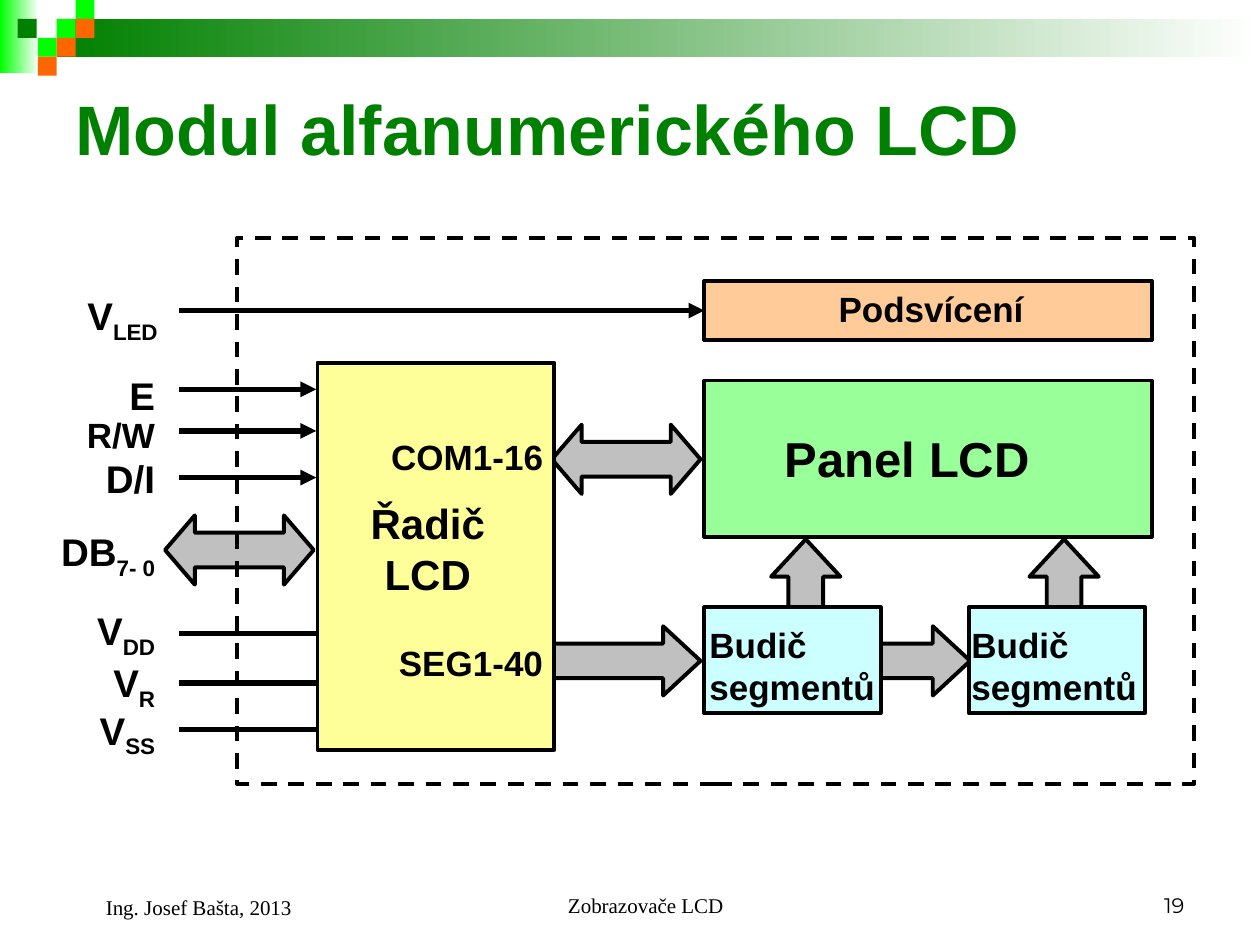
from lxml.etree import SubElement
from pptx import Presentation
from pptx.dml.color import RGBColor
from pptx.enum.dml import MSO_LINE
from pptx.enum.shapes import MSO_CONNECTOR, MSO_SHAPE as SHAPE
from pptx.enum.text import MSO_ANCHOR as ANCHOR, PP_ALIGN as ALIGN
from pptx.oxml.ns import qn
from pptx.util import Inches, Pt

# Content: header decoration
BANDS = [((0, 0, 0.31, 0.58), "00FF00"), ((0.45, 0.15, 9.55, 0.3), "008000")]
TILE = 0.15
TILES = [  # left, top, colour
    (0.45, 0.15, "00FF00"), (0.6, 0, "00FF00"), (0.6, 0.15, "FF6600"),
    (0.3, 0.3, "00FF00"), (0.14, 0.15, "008000"), (0.45, 0.3, "FF6600"),
    (0.3, 0.45, "FF6600"),
]

# Content: block diagram
ARROW_LONG, ARROW_WIDE = 1.18, 0.55
DOUBLE, SINGLE = (0.5, 0.43), (0.5, 0.54)
ARROWS = [  # preset, adjustments, left, top
    (SHAPE.UP_ARROW, SINGLE, 6.12, 4.28),
    (SHAPE.UP_ARROW, SINGLE, 8.17, 4.28),
    (SHAPE.LEFT_RIGHT_ARROW, DOUBLE, 4.38, 3.37),
    (SHAPE.RIGHT_ARROW, SINGLE, 4.38, 4.97),
    (SHAPE.RIGHT_ARROW, SINGLE, 6.52, 4.97),
    (SHAPE.LEFT_RIGHT_ARROW, DOUBLE, 1.31, 4.09),
]
BLOCKS = {
    "controller": ((2.52, 2.88, 1.88, 3.07), "FFFF99"),
    "driver 1": ((5.59, 4.82, 1.4, 0.84), "CCFFFF"),
    "driver 2": ((7.69, 4.82, 1.4, 0.84), "CCFFFF"),
    "panel": ((5.59, 3.02, 3.55, 1.24), "99FF99"),
    "backlight": ((5.59, 2.23, 3.55, 0.47), "FFCC99"),
}
FRAME = (1.88, 1.89, 7.6, 4.33)
BLOCK_TEXTS = [  # text, box, size, alignment
    ("Budič segmentů", (5.63, 4.95, 1.37, 0.67), 20, ALIGN.LEFT),
    ("Budič segmentů", (7.71, 4.95, 1.37, 0.67), 20, ALIGN.LEFT),
    ("Panel LCD", (6.23, 3.4, 2.03, 0.47), 28, ALIGN.LEFT),
    ("COM1-16", (2.89, 3.46, 1.42, 0.33), 20, ALIGN.RIGHT),
    ("SEG1-40", (2.89, 5.09, 1.42, 0.33), 20, ALIGN.RIGHT),
    ("Řadič LCD", (2.63, 3.95, 1.53, 0.8), 24, ALIGN.CENTER),
    ("Podsvícení", (6.04, 2.28, 2.7, 0.33), 20, ALIGN.CENTER),
]
SIGNALS = [  # name, subscript, size, top, right edge
    ("V", "LED", 22, 2.32, 1.25), ("E", "", 22, 2.95, 1.23),
    ("R/W", "", 20, 3.28, 1.23), ("D/I", "", 22, 3.61, 1.23),
    ("DB", "7- 0", 22, 4.19, 1.23), ("V", "DD", 22, 4.82, 1.23),
    ("V", "R", 22, 5.23, 1.23), ("V", "SS", 22, 5.61, 1.23),
]
SIGNAL_LEFT, WIRE_LEFT, WIRE_RIGHT = 0.25, 1.42, 2.51
INPUTS = [3.09, 3.42, 3.79]
SUPPLIES = [5.03, 5.42, 5.79]

# Content: title and footer
SERIF = "Times New Roman"
FOOTER = [  # text, box, left inset, alignment, font
    ("Zobrazovače LCD", (3.42, 6.83, 3.17, 0.5), 0.34, ALIGN.CENTER, SERIF),
    ("19", (7.17, 6.83, 2.33, 0.5), 0.1, ALIGN.RIGHT, "Montserrat"),
    ("Ing. Josef Bašta, 2013", (0.5, 6.83, 2.33, 0.52), 0.34, ALIGN.LEFT, SERIF),
]

prs = Presentation()
prs.slide_width, prs.slide_height = Inches(10), Inches(7.5)
shapes = prs.slides.add_slide(prs.slide_layouts[6]).shapes


def rgb(color):
    return RGBColor.from_string(color)


def add_block(preset, box, fill=None, line=2.25):
    s = shapes.add_shape(preset, *map(Inches, box))
    s.shadow.inherit = False
    if fill:
        s.fill.solid()
        s.fill.fore_color.rgb = rgb(fill)
    else:
        s.fill.background()
    if line:
        s.line.color.rgb = rgb("000000")
        s.line.width = Pt(line)
    else:
        s.line.fill.background()
    return s


def add_text(runs, box, size, align, font="Arial", color="000000", bold=True,
             anchor=ANCHOR.TOP, insets=(0, 0, 0, 0)):
    """Runs are (text, is_subscript) pairs."""
    tf = shapes.add_textbox(*map(Inches, box)).text_frame
    left, top, right, bottom = map(Inches, insets)
    frame_format = {"word_wrap": True, "vertical_anchor": anchor,
                    "margin_left": left, "margin_top": top,
                    "margin_right": right, "margin_bottom": bottom}
    for name, value in frame_format.items():
        setattr(tf, name, value)
    p = tf.paragraphs[0]
    p.alignment = align
    for text, subscript in runs:
        r = p.add_run()
        r.text = text
        for name, value in {"name": font, "size": Pt(size), "bold": bold}.items():
            setattr(r.font, name, value)
        r.font.color.rgb = rgb(color)
        if subscript:
            r.font._element.set("baseline", "-25000")


def add_wire(y, right=WIRE_RIGHT, arrow=False):
    c = shapes.add_connector(MSO_CONNECTOR.STRAIGHT, Inches(WIRE_LEFT), Inches(y),
                             Inches(right), Inches(y))
    c.line.color.rgb = rgb("000000")
    c.line.width = Pt(3)
    if arrow:
        SubElement(c.line._get_or_add_ln(), qn("a:tailEnd"), type="triangle")
    SubElement(c._element.spPr, qn("a:effectLst"))
    return c


# Header decoration
for box, color in BANDS:
    fill = add_block(SHAPE.RECTANGLE, box, line=None).fill
    fill.gradient()
    fill.gradient_angle = 0
    for stop, (position, shade) in zip(fill.gradient_stops,
                                       [(0, color), (1, "FFFFFF")]):
        stop.position = position
        stop.color.rgb = rgb(shade)
for left, top, color in TILES:
    add_block(SHAPE.RECTANGLE, (left, top, TILE, TILE), color, line=None)

# Bus arrows, with the blocks over their ends
for preset, adjustments, left, top in ARROWS:
    size = (ARROW_LONG, ARROW_WIDE)
    if preset == SHAPE.UP_ARROW:
        size = size[::-1]
    s = add_block(preset, (left, top, *size), "C0C0C0")
    for i, value in enumerate(adjustments):
        s.adjustments[i] = value
blocks = {name: add_block(SHAPE.RECTANGLE, box, color)
          for name, (box, color) in BLOCKS.items()}
for text, box, size, align in BLOCK_TEXTS:
    add_text([(text, False)], box, size, align)

# Signals and their wires
for name, subscript, size, top, right in SIGNALS:
    runs = [(name, False)] + ([(subscript, True)] if subscript else [])
    add_text(runs, (SIGNAL_LEFT, top, right - SIGNAL_LEFT, 0.4), size, ALIGN.RIGHT)
for y in INPUTS:
    add_wire(y, arrow=True)
for y in SUPPLIES:
    add_wire(y)
left, top, _, height = BLOCKS["backlight"][0]
add_wire(top + height / 2, left, arrow=True).end_connect(blocks["backlight"], 1)

# Module outline
add_block(SHAPE.RECTANGLE, FRAME).line.dash_style = MSO_LINE.DASH

# Title and footer
add_text([("Modul alfanumerického LCD", False)], (0.5, 0.5, 9, 1.03), 40, ALIGN.LEFT,
         color="008000", anchor=ANCHOR.MIDDLE, insets=(0.1, 0.05, 0.1, 0.05))
for text, box, inset, align, font in FOOTER:
    add_text([(text, False)], box, 12, align, font, bold=False,
             anchor=ANCHOR.BOTTOM, insets=(inset, 0.05, 0.1, 0.05))

prs.save("out.pptx")
